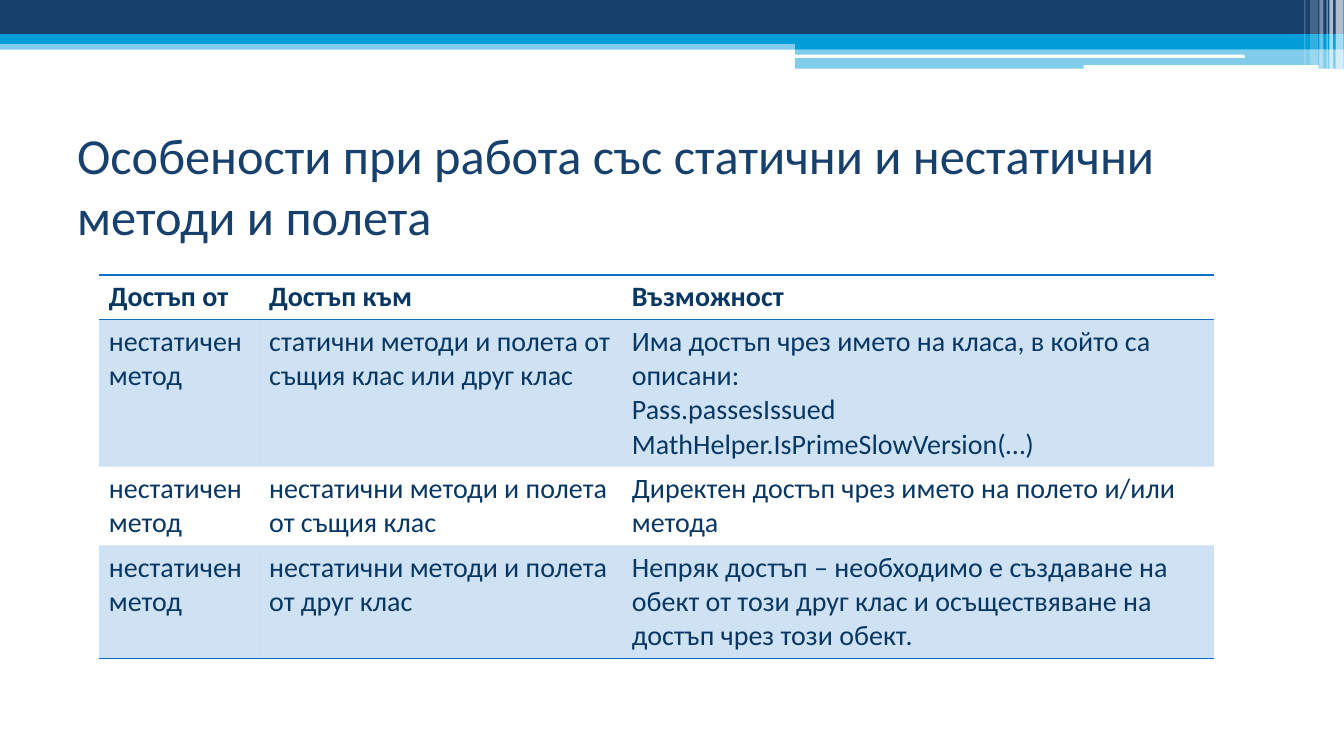
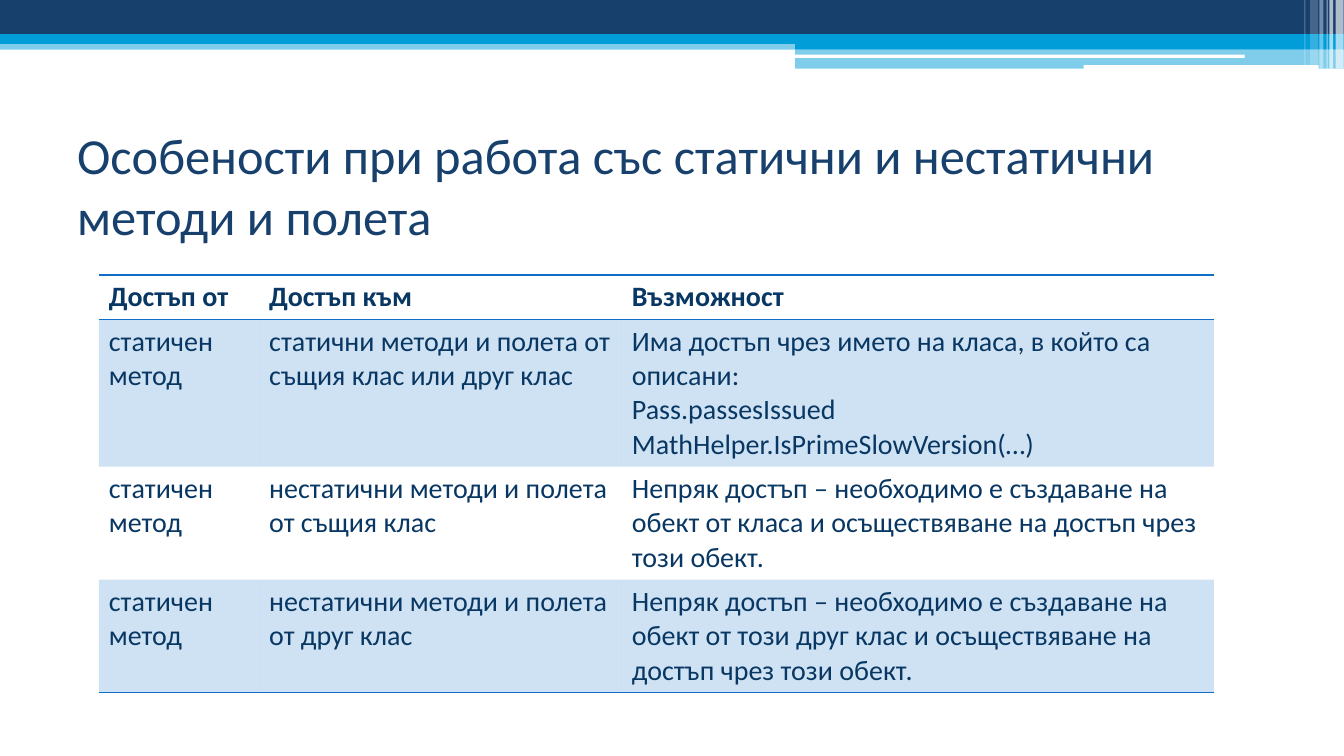
from dataclasses import dataclass

from lxml import etree
from pptx import Presentation
from pptx.dml.color import RGBColor
from pptx.enum.shapes import MSO_SHAPE
from pptx.enum.text import MSO_ANCHOR, MSO_AUTO_SIZE, PP_ALIGN
from pptx.oxml.ns import qn
from pptx.util import Cm, Pt

RECTANGLE = MSO_SHAPE.RECTANGLE
ROUNDED = MSO_SHAPE.ROUNDED_RECTANGLE
MIDDLE = MSO_ANCHOR.MIDDLE
NO_FIT = MSO_AUTO_SIZE.NONE
LEFT = PP_ALIGN.LEFT
TITLE_ONLY = 5
PLAIN_TABLE = "{2D5ABB26-0587-4C30-8999-92F81FD0307C}"


@dataclass(frozen=True)
class Theme:
    """Colours, font and type sizes of the deck."""

    navy: str = "17406D"
    cyan: str = "009DD9"
    white: str = "FFFFFF"
    text: str = "083763"
    accent: str = "0F6FC6"
    tint: int = 20
    font: str = "Calibri"
    title_size: int = 36
    table_size: int = 20
    rule_width: int = 1


@dataclass(frozen=True)
class Box:
    """A region of the page in centimetres."""

    left: float
    top: float
    width: float
    height: float

    def within(self, outer):
        """Return this box shifted to the corner of the outer box."""
        return Box(outer.left + self.left, outer.top + self.top, self.width, self.height)

    def lengths(self):
        """Return left, top, width and height as lengths."""
        return Cm(self.left), Cm(self.top), Cm(self.width), Cm(self.height)


THEME = Theme()
PAGE = Box(0, 0, 33.87, 19.05)
TITLE_BOX = Box(1.69, 3.17, 30.48, 2.97)
COLUMN_WIDTHS = (4.04, 9.14, 14.92)
ROW_HEIGHT = 1.04

BANDS = (
    (RECTANGLE, Box(0, 1.02, 33.87, 0.23), THEME.cyan, 50),
    (RECTANGLE, Box(0, 0, 33.87, 0.86), THEME.navy, 100),
    (RECTANGLE, Box(0, 0.86, 33.87, 0.25), THEME.cyan, 100),
    (RECTANGLE, Box(20.04, 0.99, 13.83, 0.25), THEME.cyan, 100),
    (RECTANGLE, Box(20.04, 1.22, 13.83, 0.51), THEME.cyan, 50),
    (ROUNDED, Box(20.02, 1.38, 11.35, 0.08), THEME.white, 100),
    (ROUNDED, Box(27.31, 1.64, 5.92, 0.1), THEME.white, 100),
    (RECTANGLE, Box(33.66, 0, 0.2, 1.73), THEME.white, 65),
    (RECTANGLE, Box(33.5, 0, 0.1, 1.73), THEME.white, 65),
    (RECTANGLE, Box(33.43, 0, 0.03, 1.73), THEME.white, 60),
    (RECTANGLE, Box(33.25, 0, 0.1, 1.73), THEME.white, 40),
    (RECTANGLE, Box(33.02, 0, 0.2, 1.63), THEME.white, 20),
    (RECTANGLE, Box(32.87, 0, 0.03, 1.63), THEME.white, 30),
)

TITLE = "Особености при работа със статични и нестатични методи и полета"
HEADINGS = ("Достъп от", "Достъп към", "Възможност")
TARGETS = (
    "статични методи и полета от същия клас или друг клас",
    "нестатични методи и полета от същия клас",
    "нестатични методи и полета от друг клас",
)
BY_CLASS_NAME = (
    "Има достъп чрез името на класа, в който са описани:\n"
    "Pass.passesIssued\nMathHelper.IsPrimeSlowVersion(…)"
)
DIRECT = "Директен достъп чрез името на полето и/или метода"
INDIRECT = "Непряк достъп – необходимо е създаване на обект от {} и осъществяване на достъп чрез този обект."
BY_OTHER_CLASS = INDIRECT.format("този друг клас")

SLIDES = (
    ("нестатичен метод", (BY_CLASS_NAME, DIRECT, BY_OTHER_CLASS), Box(2.49, 6.93, 28.1, 9.47)),
    ("статичен метод", (BY_CLASS_NAME, INDIRECT.format("класa"), BY_OTHER_CLASS), Box(2.49, 6.93, 28.1, 10.34)),
)


def paint(fill, holder, color, opacity):
    """Fill an object with a colour at a percentage of opacity."""
    fill.solid()
    fill.fore_color.rgb = RGBColor.from_string(color)
    if opacity < 100:
        shade = holder.find(qn("a:solidFill") + "/" + qn("a:srgbClr"))
        etree.SubElement(shade, qn("a:alpha"), val=str(opacity * 1000))


def style_text(para, size, color, bold=False):
    """Set the font of a paragraph."""
    para.alignment = LEFT
    para.font.name = THEME.font
    para.font.size = Pt(size)
    para.font.bold = bold
    para.font.color.rgb = RGBColor.from_string(color)


def add_bands(page, layout, box):
    """Draw the header bands and hand them to the shared layout."""
    for kind, place, color, opacity in BANDS:
        band = page.shapes.add_shape(kind, *place.within(box).lengths())
        band.shadow.inherit = False
        band.line.fill.background()
        paint(band.fill, band.element.find(qn("p:spPr")), color, opacity)
        layout.shapes.element.append(band.element)


def add_title(page, box):
    """Place and format the title."""
    title = page.shapes.title
    title.left, title.top, title.width, title.height = box.lengths()
    frame = title.text_frame
    frame.text = TITLE
    frame.auto_size = NO_FIT
    frame.word_wrap = True
    frame.vertical_anchor = MIDDLE
    style_text(frame.paragraphs[0], THEME.title_size, THEME.navy)


def add_borders(properties, sides):
    """Draw rules on the named sides of a cell."""
    for position, side in enumerate(sides):
        rule = etree.Element(qn("a:" + side), w=str(Pt(THEME.rule_width)))
        ink = etree.SubElement(rule, qn("a:solidFill"))
        etree.SubElement(ink, qn("a:srgbClr"), val=THEME.accent)
        properties.insert(position, rule)


def add_access_table(page, box, rows):
    """Build the table of access rules."""
    holder = page.shapes.add_table(len(rows), len(COLUMN_WIDTHS), *box.lengths())
    holder.element.find(".//" + qn("a:tableStyleId")).text = PLAIN_TABLE
    table = holder.table
    table.horz_banding = False
    for column, width in zip(table.columns, COLUMN_WIDTHS):
        column.width = Cm(width)
    for row in table.rows:
        row.height = Cm(ROW_HEIGHT)
    holder.height = Cm(box.height)
    nodes = holder.element.iter(qn("a:tcPr"))
    for index, texts in enumerate(rows):
        sides = ("lnT", "lnB") if index == 0 else ("lnB",) if index == len(rows) - 1 else ()
        for text, cell, properties in zip(texts, table.rows[index].cells, nodes):
            para = cell.text_frame.paragraphs[0]
            para.text = text
            style_text(para, THEME.table_size, THEME.text, bold=index == 0)
            if index % 2:
                paint(cell.fill, properties, THEME.accent, THEME.tint)
            else:
                cell.fill.background()
            add_borders(properties, sides)


def prepare_layout(deck):
    """Return the title-only layout without its footer placeholders."""
    layout = deck.slide_layouts[TITLE_ONLY]
    for spare in list(layout.placeholders)[1:]:
        layout.shapes.element.remove(spare.element)
    return layout


def main():
    """Build and save the deck."""
    deck = Presentation()
    deck.slide_width, deck.slide_height = Cm(PAGE.width), Cm(PAGE.height)
    layout = prepare_layout(deck)
    for number, (source, abilities, box) in enumerate(SLIDES):
        page = deck.slides.add_slide(layout)
        if number == 0:
            add_bands(page, layout, PAGE)
        add_title(page, TITLE_BOX)
        rows = [HEADINGS] + [(source, target, ability) for target, ability in zip(TARGETS, abilities)]
        add_access_table(page, box, rows)
    deck.save("out.pptx")


main()
